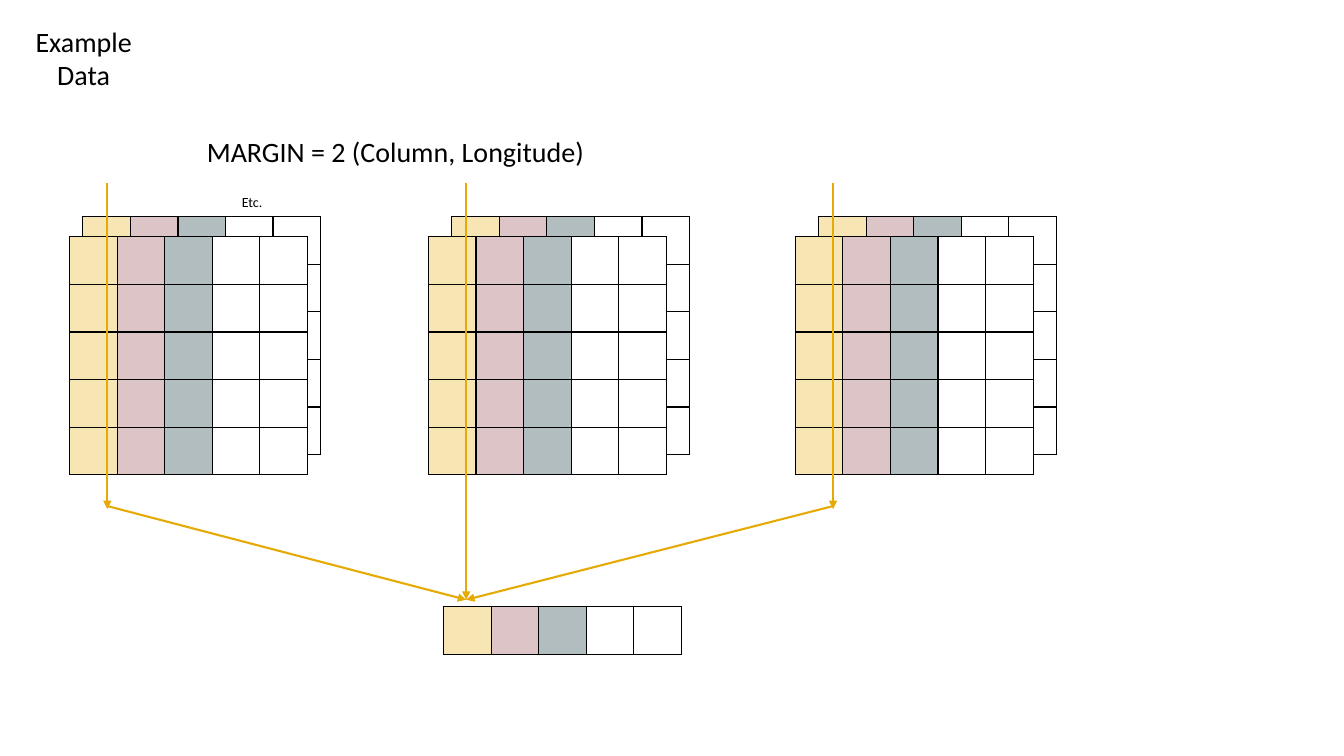
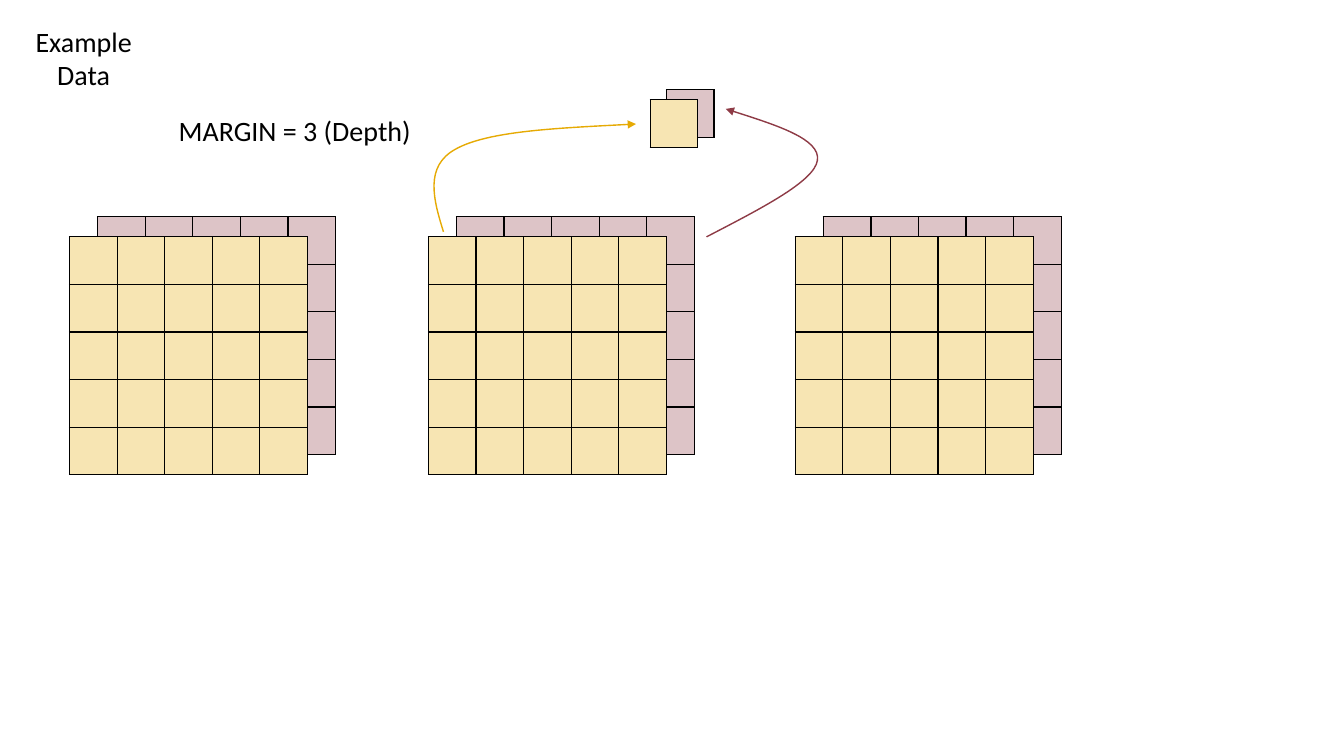
from lxml import etree
from pptx import Presentation
from pptx.dml.color import RGBColor
from pptx.enum import shapes, text
from pptx.oxml import parse_xml
from pptx.oxml.ns import nsdecls, qn
from pptx.util import Pt

BLACK = RGBColor(0x00, 0x00, 0x00)
WHITE = RGBColor(0xFF, 0xFF, 0xFF)
SAND = RGBColor(0xF7, 0xE5, 0xB3)
ROSE = RGBColor(0xDD, 0xC4, 0xC7)
SLATE = RGBColor(0xB2, 0xBD, 0xBF)
GOLD = RGBColor(0xE6, 0xAA, 0x04)
WINE = RGBColor(0x8E, 0x3B, 0x46)

FONT = "Calibri"
CELL = 34
GRID_SIZE = 5
FRONT_LEFTS = (49.7, 306, 568.1)
FRONT_TOP, BACK_TOP = 169.2, 154.8


def add_grid(slide, left, top, row_fills, row_count):
    """Draw row_count equal rows of square cells, one fill per column."""
    column_count = len(row_fills)
    grid = slide.shapes.add_table(row_count, column_count, Pt(left), Pt(top),
                                  Pt(CELL * column_count), Pt(CELL * row_count)).table
    grid.first_row = grid.horz_banding = False
    for column in grid.columns:
        column.width = Pt(CELL)
    for row in grid.rows:
        row.height = Pt(CELL)
        for cell, fill in zip(row.cells, row_fills):
            properties = cell._tc.get_or_add_tcPr()
            for side in "LRTB":
                properties.append(parse_xml(
                    f'<a:ln{side} {nsdecls("a")} w="{Pt(1)}"><a:solidFill>'
                    f'<a:srgbClr val="{BLACK}"/></a:solidFill></a:ln{side}>'))
            cell.fill.solid()
            cell.fill.fore_color.rgb = fill


def style_arrow(arrow, color, width):
    arrow.line.color.rgb = color
    arrow.line.width = Pt(width)
    etree.SubElement(arrow.line._get_or_add_ln(), qn("a:tailEnd"), type="triangle")
    etree.SubElement(arrow._element.spPr, qn("a:effectLst"))


deck = Presentation()
deck.slide_width, deck.slide_height = Pt(960), Pt(540)
blank = deck.slide_layouts[6]

column_fills = [SAND, ROSE, SLATE, WHITE, WHITE]
heading = ("Example Data", 9.4, 13.7, 100.8, 55.4, 20, text.PP_ALIGN.CENTER)
margins = [
    {
        "front": column_fills,
        "back": column_fills,
        "back_shifts": (9.4, 16.6, 16.6),
        "labels": [
            heading,
            ("MARGIN = 2 (Column, Longitude)", 134.6, 92.2, 295.9, 31.7, 20,
             text.PP_ALIGN.CENTER),
            ("Etc.", 165.6, 134.6, 41.8, 19.4, 10, text.PP_ALIGN.LEFT),
        ],
    },
    {
        "front": [SAND] * GRID_SIZE,
        "back": [ROSE] * GRID_SIZE,
        "back_shifts": (20, 20, 20),
        "labels": [
            heading,
            ("MARGIN = 3 (Depth)", 62.6, 77.8, 295.9, 31.7, 20, text.PP_ALIGN.CENTER),
        ],
    },
]

for margin in margins:
    slide = deck.slides.add_slide(blank)
    for left, shift in zip(FRONT_LEFTS, margin["back_shifts"]):
        add_grid(slide, left + shift, BACK_TOP, margin["back"], GRID_SIZE)
        add_grid(slide, left, FRONT_TOP, margin["front"], GRID_SIZE)
    for words, left, top, width, height, size, align in margin["labels"]:
        label = slide.shapes.add_textbox(Pt(left), Pt(top), Pt(width), Pt(height))
        frame = label.text_frame
        frame.word_wrap = True
        frame.auto_size = text.MSO_AUTO_SIZE.SHAPE_TO_FIT_TEXT
        paragraph = frame.paragraphs[0]
        paragraph.alignment = align
        run = paragraph.add_run()
        run.text = words
        for attribute, value in {"name": FONT, "size": Pt(size)}.items():
            setattr(run.font, attribute, value)
        run.font.color.rgb = BLACK

# Columns collapse into one row
column_slide, depth_slide = deck.slides
add_grid(column_slide, 316.8, 433.4, column_fills, 1)
first_x, middle_x, last_x = (left + 27 for left in FRONT_LEFTS)
arrow_top, bend_y, result_y = 131, 361.5, 428.4
column_arrows = [
    (first_x, arrow_top, first_x, 363.6),
    (middle_x, arrow_top, middle_x, result_y),
    (last_x, arrow_top, last_x, 363.6),
    (first_x, bend_y, middle_x, result_y),
    (last_x, bend_y, middle_x, result_y),
]
for ends in column_arrows:
    arrow = column_slide.shapes.add_connector(shapes.MSO_CONNECTOR.STRAIGHT, *map(Pt, ends))
    style_arrow(arrow, GOLD, 1.5)

# Each depth layer collapses into one cell
add_grid(depth_slide, 476, 64.2, [ROSE], 1)
add_grid(depth_slide, 464.5, 71.2, [SAND], 1)
depth_curves = [
    (GOLD, [(316.8, 165.6), (309.6, 142.6), (303.1, 118.8), (325.4, 106.6),
            (348.5, 93.6), (401, 91.4), (454.3, 88.6)]),
    (WINE, [(504.7, 169.2), (543.6, 149), (581.8, 129.6), (583.9, 114.5),
            (586.1, 99.4), (552.2, 88.6), (518.4, 77.8)]),
]
for color, points in depth_curves:
    start, *controls = [(Pt(x), Pt(y)) for x, y in points]
    outline = depth_slide.shapes.build_freeform(*start)
    outline.add_line_segments(controls, close=False)
    curve = outline.convert_to_shape()
    # Every three straight segments become one Bézier segment
    segments = list(curve._element.iter(qn("a:lnTo")))
    for index in range(0, len(segments), 3):
        bezier = etree.SubElement(segments[index].getparent(), qn("a:cubicBezTo"))
        for segment in segments[index:index + 3]:
            bezier.append(segment[0])
            segment.getparent().remove(segment)
    curve.fill.background()
    style_arrow(curve, color, 1)

deck.save("out.pptx")
